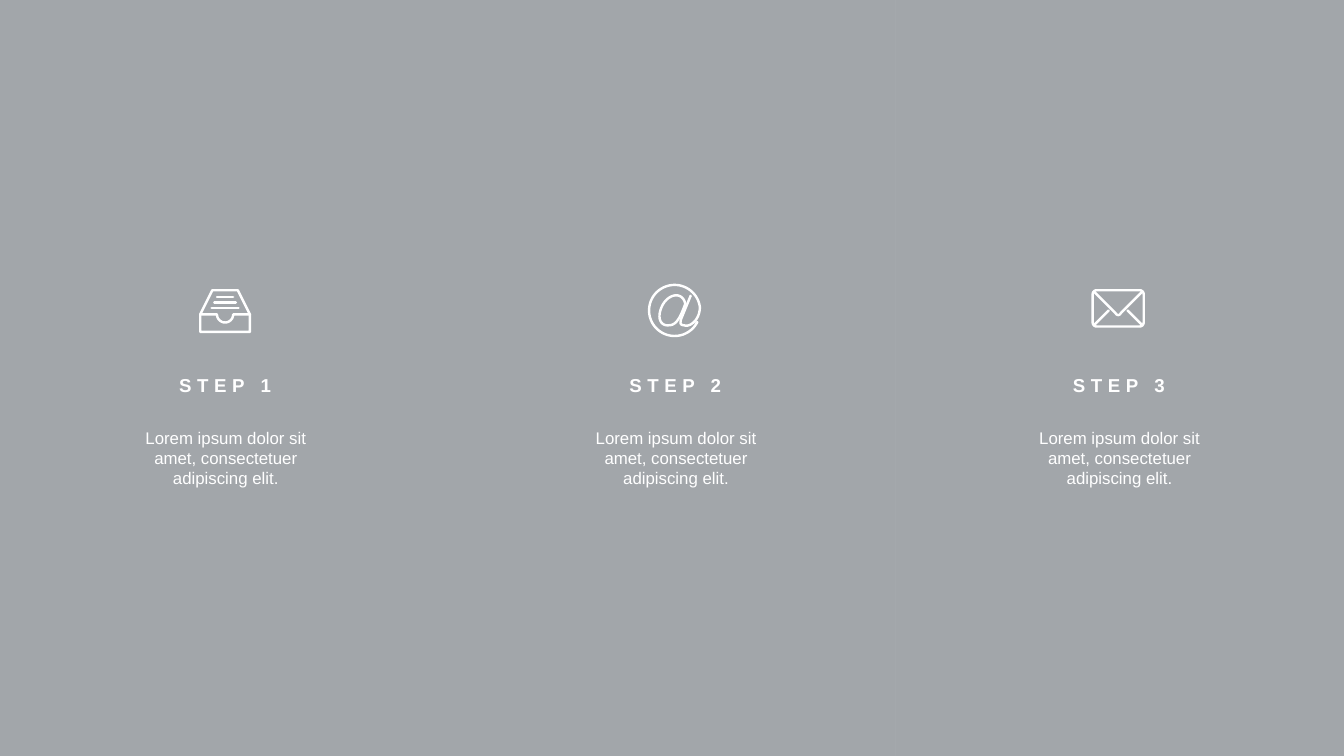
import math
import pptx
import pptx.dml.color
import pptx.enum.shapes
import pptx.enum.text
import pptx.util
from lxml import etree
from pptx.oxml.ns import qn
from pptx.util import Inches

WIDE = 10
HIGH = WIDE * 9 / 16
COLORS = {"navy": "162835", "gray": "D0CECE", "white": "FFFFFF"}
FONT = "Arial"
BODY = "Lorem ipsum dolor sit amet, consectetuer adipiscing elit."


def color(name):
    return pptx.dml.color.RGBColor.from_string(COLORS[name])


def arc(x, y, r, start, end, count=24):
    """Points on a circle; angles in degrees, clockwise from the right."""
    turns = [math.radians(start + (end - start) * i / count)
             for i in range(count + 1)]
    return [(x + r * math.cos(t), y + r * math.sin(t)) for t in turns]


def curve(*knots, count=12):
    """Points on a chain of cubic Bezier curves."""
    points = [knots[0]]
    for i in range(0, len(knots) - 1, 3):
        for step in range(1, count + 1):
            t = step / count
            mix = ((1 - t) ** 3, 3 * t * (1 - t) ** 2,
                   3 * t * t * (1 - t), t ** 3)
            points.append(tuple(
                sum(m * knot[axis] for m, knot in zip(mix, knots[i:i + 4]))
                for axis in (0, 1)))
    return points


def tray():
    left, right = 1.49, 1.86
    mid = (left + right) / 2
    case = [(left, 2.34), (1.58, 2.16), (1.77, 2.16), (right, 2.34),
            (right, 2.47), (left, 2.47), (left, 2.34)]
    slot = [(left, 2.34), *arc(mid, 2.34, 0.06, 180, 0), (right, 2.34)]
    rows = [[(mid - half, y), (mid + half, y)]
            for y, half in ((2.21, 0.06), (2.25, 0.08), (2.29, 0.1))]
    return [case, slot, *rows]


def at_sign():
    ring = arc(5.02, 2.31, 0.19, 27, 352, 60)
    tail = curve(ring[-1], (5.21, 2.38), (5.13, 2.44), (5.09, 2.42),
                 (5.06, 2.42), (5.06, 2.4), (5.07, 2.37))
    loop = curve((5.1, 2.26), (5.08, 2.17), (4.98, 2.18), (4.93, 2.27),
                 (4.88, 2.37), (4.92, 2.43), (4.98, 2.42),
                 (5.03, 2.42), (5.06, 2.37), (5.1, 2.26))
    return [ring + tail + [(5.14, 2.2)], loop]


def letter():
    left, top, right, low, r = 8.13, 2.16, 8.51, 2.43, 0.03
    frame = [*arc(left + r, top + r, r, 180, 270, 6),
             *arc(right - r, top + r, r, 270, 360, 6),
             *arc(right - r, low - r, r, 0, 90, 6),
             *arc(left + r, low - r, r, 90, 180, 6), (left, top + r)]
    flap = [(8.14, 2.17),
            *curve((8.3, 2.33), (8.31, 2.35), (8.33, 2.35), (8.34, 2.33)),
            (8.5, 2.17)]
    folds = [[(8.14, 2.42), (8.25, 2.31)], [(8.5, 2.42), (8.39, 2.31)]]
    return [frame, flap, *folds]


def add_icon(slide, paths):
    """Draw all strokes of an icon as one outline shape."""
    pen = None
    for path in paths:
        spots = [(Inches(x), Inches(y)) for x, y in path]
        if pen is None:
            pen = slide.shapes.build_freeform(*spots[0])
        else:
            pen.move_to(*spots[0])
        pen.add_line_segments(spots[1:], close=path[0] == path[-1])
    icon = pen.convert_to_shape()
    icon.shadow.inherit = False
    icon.fill.background()
    icon.line.color.rgb = color("white")
    icon.line.width = pptx.util.Pt(1.3)
    stroke = icon.line._get_or_add_ln()
    stroke.set("cap", "rnd")
    etree.SubElement(stroke, qn("a:round"))


def add_panel(slide, left, width, name, alpha):
    panel = slide.shapes.add_shape(
        pptx.enum.shapes.MSO_SHAPE.RECTANGLE,
        Inches(left), 0, Inches(width), Inches(HIGH))
    panel.shadow.inherit = False
    panel.fill.solid()
    panel.fill.fore_color.rgb = color(name)
    panel.line.fill.background()
    tint = panel.fill._xPr.find(".//" + qn("a:srgbClr"))
    etree.SubElement(tint, qn("a:alpha"), val=str(alpha * 1000))


def add_text(slide, box, text, size, wrap=True, bold=False, gap=0):
    frame = slide.shapes.add_textbox(*map(Inches, box)).text_frame
    frame.word_wrap = wrap
    frame.auto_size = pptx.enum.text.MSO_AUTO_SIZE.SHAPE_TO_FIT_TEXT
    para = frame.paragraphs[0]
    para.alignment = pptx.enum.text.PP_ALIGN.CENTER
    run = para.add_run()
    run.text = text
    run.font.name = FONT
    run.font.size = pptx.util.Pt(size)
    run.font.bold = bold
    run.font.color.rgb = color("white")
    if gap:
        run.font._element.set("spc", str(gap * 100))


def add_step(slide, number, left, icon):
    add_icon(slide, icon)
    add_text(slide, (left, 3.13, 1.66, 0.56), BODY, 9)
    add_text(slide, (left + 0.36, 2.73, 0.93, 0.27), f"STEP {number}", 10,
             wrap=False, bold=True, gap=3)


def main():
    deck = pptx.Presentation()
    deck.slide_width, deck.slide_height = Inches(WIDE), Inches(HIGH)
    slide = deck.slides.add_slide(deck.slide_layouts[6])
    add_panel(slide, 0, WIDE, "navy", 65)
    for col in range(3):
        add_panel(slide, col * WIDE / 3, WIDE / 3, "gray", 57)
    steps = ((0.85, tray()), (4.2, at_sign()), (7.5, letter()))
    for number, (left, icon) in enumerate(steps, 1):
        add_step(slide, number, left, icon)
    deck.save("out.pptx")


if __name__ == "__main__":
    main()
